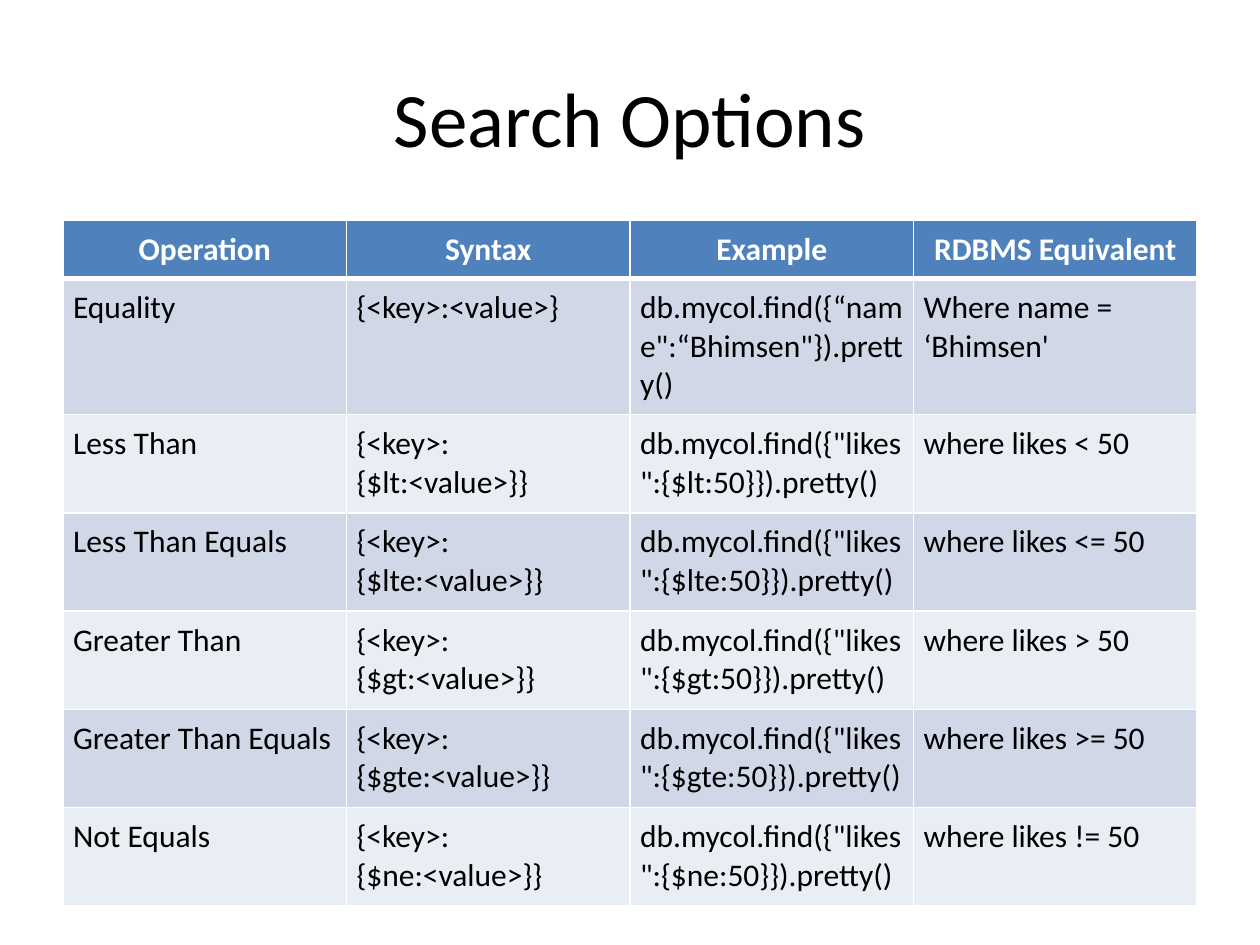
"""Build the Search Options slide: a title above a table of query operators."""
from dataclasses import dataclass

from lxml.etree import SubElement
from pptx import Presentation
from pptx.dml.color import RGBColor
from pptx.enum.text import MSO_ANCHOR, PP_ALIGN
from pptx.oxml.ns import qn
from pptx.util import Inches, Pt


@dataclass(frozen=True)
class Theme:
    font: str = "Calibri"
    title_size: int = 44
    table_size: int = 18
    ink: str = "000000"
    white: str = "FFFFFF"
    header: str = "4F81BD"
    bands: tuple = ("D0D8E8", "E9EDF4")
    thin: int = 1
    thick: int = 3


theme = Theme()


def write_text(frame, text, size=theme.table_size, color=theme.ink, bold=False, align=PP_ALIGN.LEFT):
    frame.word_wrap = True
    paragraph = frame.paragraphs[0]
    paragraph.alignment = align
    run = paragraph.add_run()
    run.text = text
    run.font.name = theme.font
    run.font.size = Pt(size)
    run.font.bold = bold
    run.font.color.rgb = RGBColor.from_string(color)


def add_border(cell, side, width):
    properties = cell._tc.get_or_add_tcPr()
    line = SubElement(properties, qn(f"a:ln{side}"), w=str(Pt(width)))
    fill = SubElement(line, qn("a:solidFill"))
    SubElement(fill, qn("a:srgbClr"), val=theme.white)


headings = ("Operation", "Syntax", "Example", "RDBMS Equivalent")
comparisons = (
    ("Less Than", "lt", "<"),
    ("Less Than Equals", "lte", "<="),
    ("Greater Than", "gt", ">"),
    ("Greater Than Equals", "gte", ">="),
    ("Not Equals", "ne", "!="),
)
rows = [
    headings,
    ("Equality", "{<key>:<value>}", 'db.mycol.find({“name":“Bhimsen"}).pretty()', "Where name = ‘Bhimsen'"),
]
for operation, operator, symbol in comparisons:
    rows.append((
        operation,
        f"{{<key>:{{${operator}:<value>}}}}",
        f'db.mycol.find({{"likes":{{${operator}:50}}}}).pretty()',
        f"where likes {symbol} 50",
    ))

presentation = Presentation()
presentation.slide_width = Inches(10)
presentation.slide_height = Inches(7.5)
slide = presentation.slides.add_slide(presentation.slide_layouts[6])

margin = int(presentation.slide_width * 0.05)
content_width = presentation.slide_width - 2 * margin

title = slide.shapes.add_textbox(margin, Inches(0.3), content_width, Inches(1.25))
title.text_frame.vertical_anchor = MSO_ANCHOR.MIDDLE
write_text(title.text_frame, "Search Options", size=theme.title_size, align=PP_ALIGN.CENTER)

row_heights = [0.46, 1.08] + [0.78] * len(comparisons)
table = slide.shapes.add_table(
    len(rows), len(headings), margin, Inches(1.75), content_width, Inches(sum(row_heights))
).table

for row_index, (texts, height) in enumerate(zip(rows, row_heights)):
    table.rows[row_index].height = Inches(height)
    is_header = row_index == 0
    band = theme.header if is_header else theme.bands[(row_index - 1) % 2]
    text_format = dict(color=theme.white, bold=True, align=PP_ALIGN.CENTER) if is_header else {}
    top = theme.thick if row_index == 1 else theme.thin
    bottom = theme.thick if is_header else theme.thin
    for column_index, text in enumerate(texts):
        cell = table.cell(row_index, column_index)
        cell.margin_left = cell.margin_right = Inches(0.08)
        cell.margin_top = cell.margin_bottom = Inches(0.08)
        for side, width in (("L", theme.thin), ("R", theme.thin), ("T", top), ("B", bottom)):
            add_border(cell, side, width)
        cell.fill.solid()
        cell.fill.fore_color.rgb = RGBColor.from_string(band)
        write_text(cell.text_frame, text, **text_format)

presentation.save("out.pptx")
